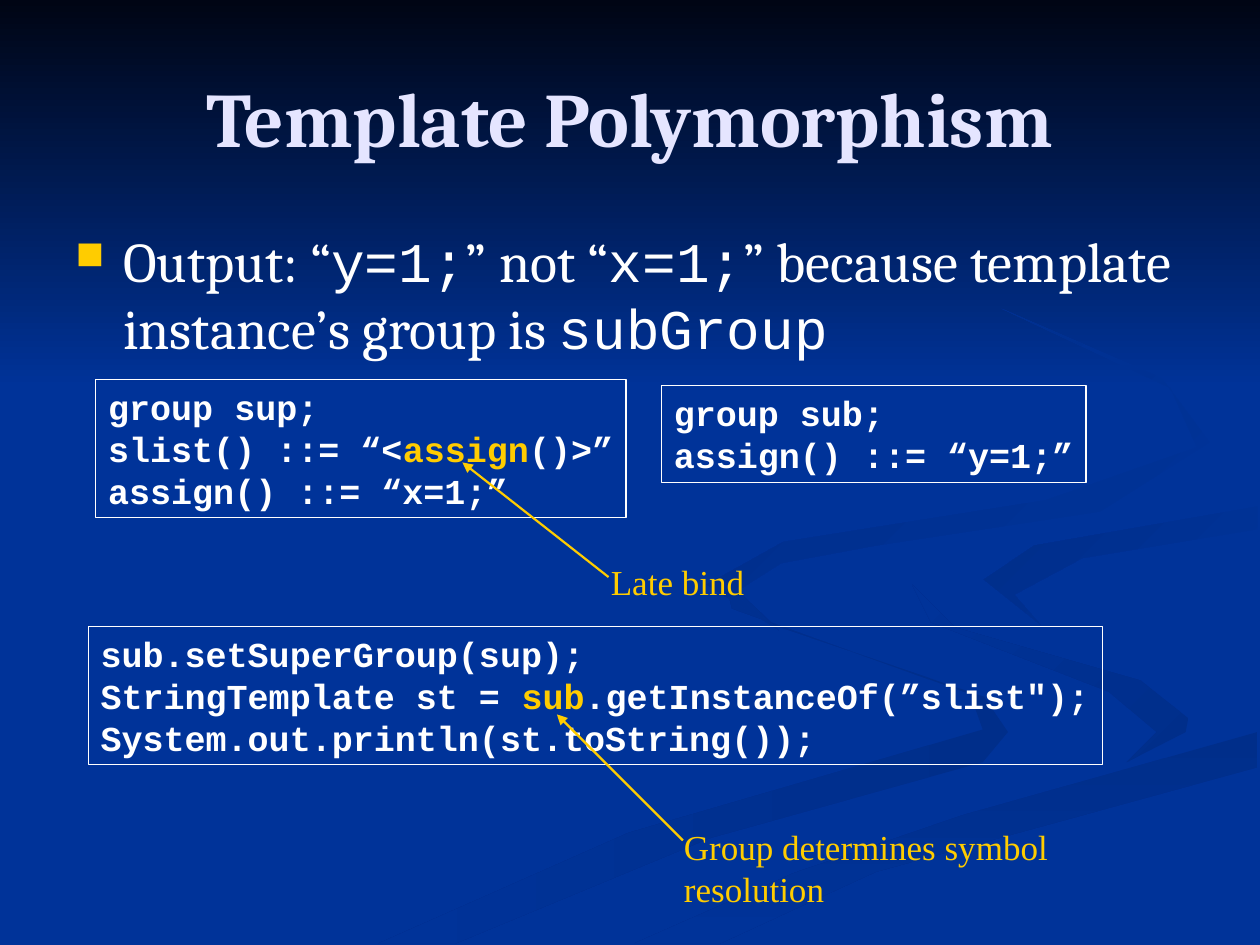
from lxml import etree
from pptx import Presentation
from pptx import util as u
from pptx.dml.color import RGBColor
from pptx.enum import shapes, text
from pptx.oxml.ns import qn

PX = 9144  # EMU per px, 100 px to the inch
NAVY, BLUE, SHADE = "000514", "003399", "002E8A"
WHITE, GOLD, LILAC = "FFFFFF", "FFCC00", "E5E5FF"
SERIF, CODE, LABEL = "Cambria", "Courier New", "Times New Roman"


def rgb(value):
    return RGBColor.from_string(value)


def write(frame, lines, font, size, color, bold=False, align=text.PP_ALIGN.LEFT):
    """Each line is a list of runs: a string, or (string, {font or color})."""
    for number, line in enumerate(lines):
        para = frame.paragraphs[0] if number == 0 else frame.add_paragraph()
        para.alignment = align
        for part in line:
            words, change = (part, {}) if isinstance(part, str) else part
            run = para.add_run()
            run.text = words
            run.font.name = change.get("font", font)
            run.font.size = u.Pt(size)
            run.font.bold = bold
            run.font.color.rgb = rgb(change.get("color", color))


class Deck:
    def __init__(self, width, height):
        self.prs = Presentation()
        self.prs.slide_width, self.prs.slide_height = width * PX, height * PX
        self.slide = self.prs.slides.add_slide(self.prs.slide_layouts[6])
        self.shapes = self.slide.shapes

    def background(self, color):
        fill = self.slide.background.fill
        fill.solid()
        fill.fore_color.rgb = rgb(color)

    def outline(self, points, colors, angle):
        """Outline with a two-colour gradient; the angle is clockwise."""
        builder = self.shapes.build_freeform(*points[0], scale=PX)
        builder.add_line_segments(points[1:], close=True)
        area = builder.convert_to_shape()
        area.shadow.inherit = False
        area.line.fill.background()
        area.fill.gradient()
        area.fill.gradient_angle = 360 - angle
        for stop, color in zip(area.fill.gradient_stops, colors):
            stop.color.rgb = rgb(color)

    def textbox(self, x, y, w, h, lines, wrap=False,
                anchor=text.MSO_ANCHOR.TOP, **style):
        frame = self.shapes.add_textbox(x * PX, y * PX, w * PX, h * PX).text_frame
        frame.word_wrap = wrap
        frame.vertical_anchor = anchor
        write(frame, lines, **style)
        return frame

    def code(self, x, y, w, h, lines):
        box = self.shapes.add_shape(shapes.MSO_SHAPE.RECTANGLE,
                                    x * PX, y * PX, w * PX, h * PX)
        box.shadow.inherit = False
        box.fill.background()
        box.line.color.rgb = rgb(WHITE)
        box.line.width = u.Pt(0.75)
        frame = box.text_frame
        frame.word_wrap = False
        frame.auto_size = text.MSO_AUTO_SIZE.SHAPE_TO_FIT_TEXT
        frame.vertical_anchor = text.MSO_ANCHOR.TOP
        write(frame, lines, CODE, 20, WHITE, bold=True)

    def arrow(self, x1, y1, x2, y2):
        pointer = self.shapes.add_connector(shapes.MSO_CONNECTOR.STRAIGHT,
                                            x1 * PX, y1 * PX, x2 * PX, y2 * PX)
        pointer.line.color.rgb = rgb(GOLD)
        pointer.line.width = u.Pt(1.25)
        props = pointer._element.spPr
        etree.SubElement(props.find(qn("a:ln")), qn("a:tailEnd"), type="triangle")
        etree.SubElement(props, qn("a:effectLst"))

    def bullet(self, para, mark, color, percent, indent):
        props = para._p.get_or_add_pPr()
        props.set("marL", str(indent * PX))
        props.set("indent", str(-indent * PX))
        tint = etree.SubElement(props, qn("a:buClr"))
        etree.SubElement(tint, qn("a:srgbClr"), val=color)
        etree.SubElement(props, qn("a:buSzPct"), val=str(percent * 1000))
        etree.SubElement(props, qn("a:buChar"), char=mark)


# Background ribbons: outline, colours, gradient angle
RIBBONS = [
    ([(781, 553), (614, 496), (575, 459), (581, 483), (770, 551), (780, 579),
      (499, 661), (300, 749), (361, 749), (564, 665), (780, 605), (800, 581)],
     (SHADE, BLUE), 180),
    ([(943, 570), (905, 540), (758, 498), (724, 464), (739, 494), (880, 549),
      (918, 581), (894, 605), (941, 581)], (SHADE, BLUE), 225),
    ([(503, 749), (571, 749), (695, 692), (998, 609), (998, 581), (764, 647),
      (630, 693)], (SHADE, BLUE), 90),
    ([(781, 460), (826, 496), (805, 472), (859, 443), (998, 420), (998, 402),
      (821, 433)], (BLUE, SHADE), 225),
    ([(695, 433), (873, 406), (960, 351), (922, 300), (795, 245), (929, 308),
      (950, 355), (830, 397), (622, 430), (561, 464), (618, 500), (582, 471),
      (620, 447)], (BLUE, SHADE), 225),
]

deck = Deck(1000, 750)

# Background
deck.background(BLUE)
deck.outline([(0, 0), (0, 308), (1000, 308), (1000, 0)], (NAVY, BLUE), 90)
for ribbon in RIBBONS:
    deck.outline(*ribbon)

# Title and statement
deck.textbox(50, 30, 900, 125, [["Template Polymorphism"]], wrap=True,
             anchor=text.MSO_ANCHOR.MIDDLE, font=SERIF, size=44, color=LILAC,
             bold=True, align=text.PP_ALIGN.CENTER)
mono, gold = {"font": CODE}, {"color": GOLD}
statement = deck.textbox(
    50, 175, 900, 492,
    [["Output: “", ("y=1;", mono), "” not “", ("x=1;", mono),
      "” because template instance’s group is ", ("subGroup", mono)]],
    wrap=True, font=SERIF, size=32, color=WHITE).paragraphs[0]
statement.space_before = u.Pt(8)
deck.bullet(statement, "■", GOLD, 70, 38)

# Code boxes
deck.code(70, 497, 805, 110, [
    ["sub.setSuperGroup(sup);"],
    ["StringTemplate st = ", ("sub", gold), ".getInstanceOf(”slist\");"],
    ["System.out.println(st.toString());"]])
deck.code(76, 301, 421, 110, [
    ["group sup;"],
    ["slist() ::= “<", ("assign", gold), "()>”"],
    ["assign() ::= “x=1;”"]])
deck.code(525, 306, 337, 77, [["group sub;"], ["assign() ::= “y=1;”"]])

# Notes with arrows to the highlighted words
for x, y, w, note, ends in [
        (475, 440, 126, "Late bind", (483, 458, 367, 367)),
        (533, 650, 427, "Group determines symbol resolution", (542, 667, 442, 567))]:
    deck.arrow(*ends)
    deck.textbox(x, y, w, 44, [[note]], font=LABEL, size=20, color=GOLD)

deck.prs.save("out.pptx")
